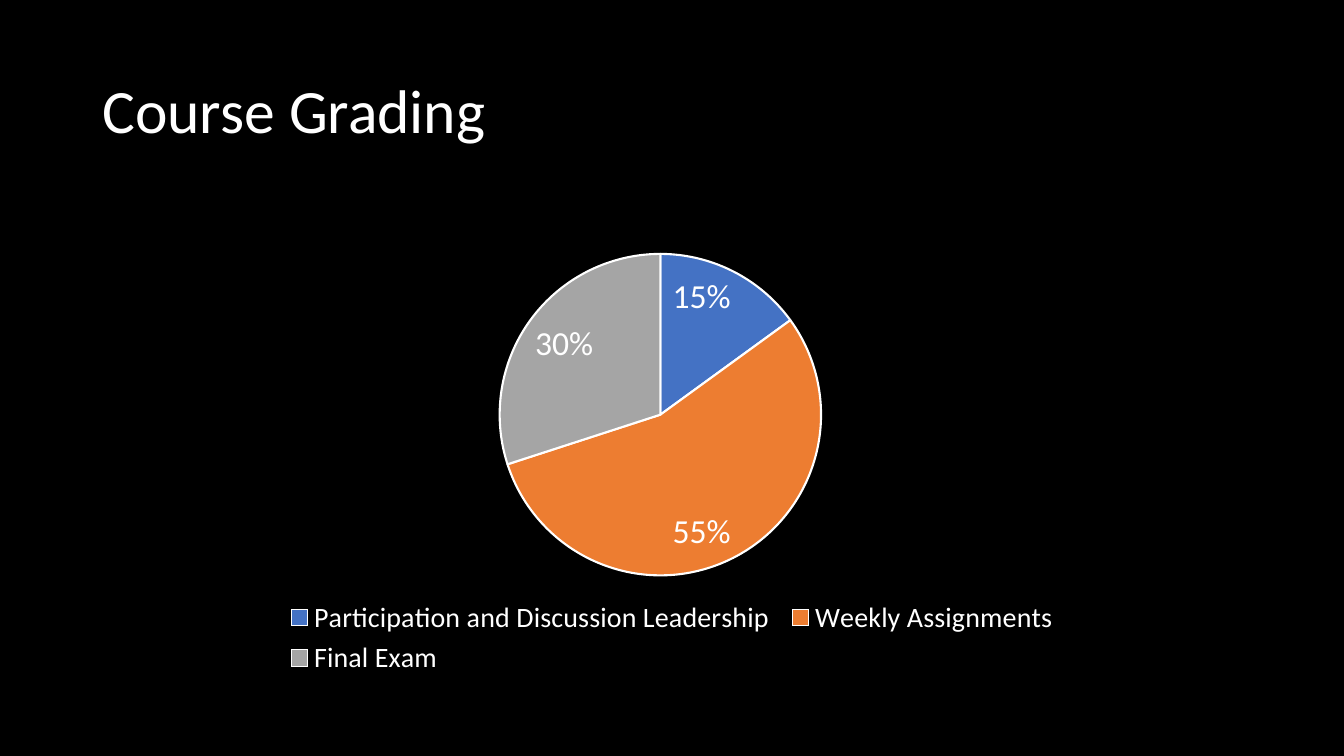
from lxml.etree import SubElement
from pptx import Presentation
from pptx.chart.data import CategoryChartData
from pptx.dml.color import RGBColor
from pptx.enum.chart import XL_CHART_TYPE as ChartType
from pptx.enum.chart import XL_LABEL_POSITION as LabelPosition
from pptx.enum.chart import XL_LEGEND_POSITION as LegendPosition
from pptx.enum.text import MSO_ANCHOR as Anchor
from pptx.oxml.ns import qn
from pptx.util import Cm, Pt

COLORS = {
    "background": "000000",
    "text": "FFFFFF",
    "participation": "4472C4",
    "assignments": "ED7D31",
    "exam": "A5A5A5",
}
GRADING = [
    ("Participation and Discussion Leadership", 0.15, "participation"),
    ("Weekly Assignments", 0.55, "assignments"),
    ("Final Exam", 0.3, "exam"),
]
PIE_AREA = {"x": 0.35, "y": 0.11, "w": 0.28, "h": 0.67}
LEGEND_AREA = {"x": 0.16, "y": 0.82, "w": 0.68, "h": 0.18}


def color(name):
    return RGBColor.from_string(COLORS[name])


def set_values(target, values):
    for name, value in values.items():
        setattr(target, name, value)


def style_font(font, size):
    set_values(font, {"name": "Calibri", "size": Pt(size)})
    font.color.rgb = color("text")


def set_layout(element, area, inner=False):
    for old_layout in element.findall(qn("c:layout")):
        element.remove(old_layout)
    layout = SubElement(element, qn("c:layout"))
    manual = SubElement(layout, qn("c:manualLayout"))
    settings = {"layoutTarget": "inner"} if inner else {}
    settings |= {"xMode": "edge", "yMode": "edge"} | area
    for name, value in settings.items():
        SubElement(manual, qn(f"c:{name}")).set("val", str(value))
    element.remove(layout)
    element.insert(0 if inner else 1, layout)


def add_title(slide, text):
    shape = slide.shapes.add_textbox(Cm(2.33), Cm(1.01), Cm(29.21), Cm(3.68))
    frame = shape.text_frame
    set_values(frame, {"word_wrap": True, "vertical_anchor": Anchor.MIDDLE})
    paragraph = frame.paragraphs[0]
    paragraph.line_spacing = 0.9
    run = paragraph.add_run()
    run.text = text
    style_font(run.font, 44)


def style_slices(plot):
    plot.vary_by_categories = True
    for index, (_, _, name) in enumerate(GRADING):
        slice_format = plot.series[0].points[index].format
        slice_format.fill.solid()
        slice_format.fill.fore_color.rgb = color(name)
        slice_format.line.color.rgb = color("text")
        slice_format.line.width = Pt(1.5)


def style_labels(plot):
    labels = plot.series[0].data_labels
    set_values(labels, {
        "show_value": True,
        "show_percentage": False,
        "number_format": "0%",
        "number_format_is_linked": False,
        "position": LabelPosition.INSIDE_END,
    })
    style_font(labels.font, 24)


def style_legend(chart):
    chart.has_legend = True
    legend = chart.legend
    set_values(legend, {
        "position": LegendPosition.BOTTOM,
        "include_in_layout": False,
    })
    style_font(legend.font, 20)
    set_layout(legend._element, LEGEND_AREA)


def add_grading_pie(slide):
    data = CategoryChartData(number_format="0%")
    data.categories = [label for label, _, _ in GRADING]
    data.add_series("Series 1", [share for _, share, _ in GRADING])
    chart = slide.shapes.add_chart(
        ChartType.PIE, Cm(2.33), Cm(5.07), Cm(29.21), Cm(12.09), data
    ).chart
    chart.has_title = False
    style_font(chart.font, 10)
    plot = chart.plots[0]
    style_slices(plot)
    style_labels(plot)
    style_legend(chart)
    plot_area = chart._chartSpace.chart.plotArea
    set_layout(plot_area, PIE_AREA, inner=True)


def main():
    presentation = Presentation()
    set_values(presentation, {"slide_width": Cm(33.87), "slide_height": Cm(19.05)})
    slide = presentation.slides.add_slide(presentation.slide_layouts[6])
    slide.background.fill.solid()
    slide.background.fill.fore_color.rgb = color("background")
    add_title(slide, "Course Grading")
    add_grading_pie(slide)
    presentation.save("out.pptx")


if __name__ == "__main__":
    main()
